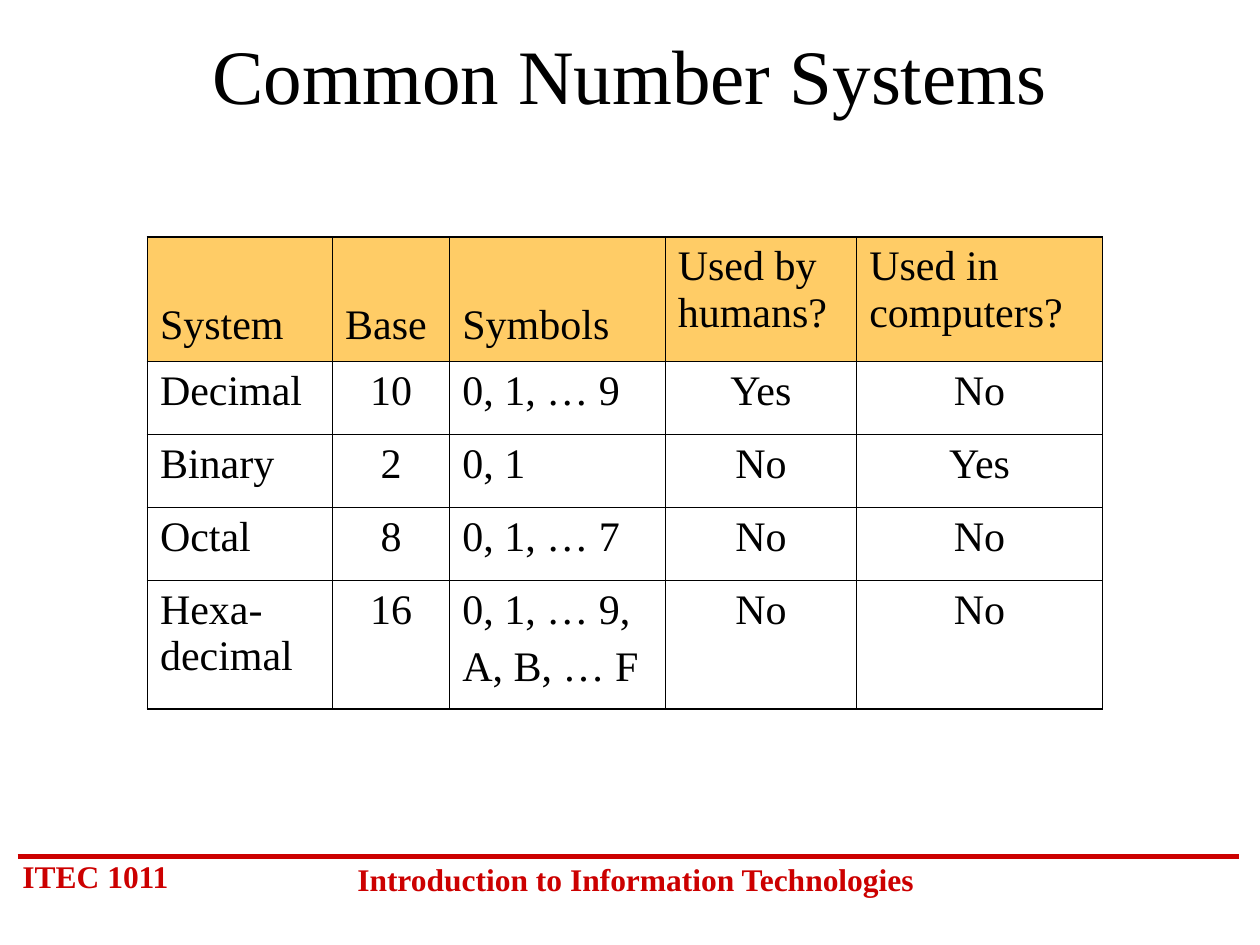
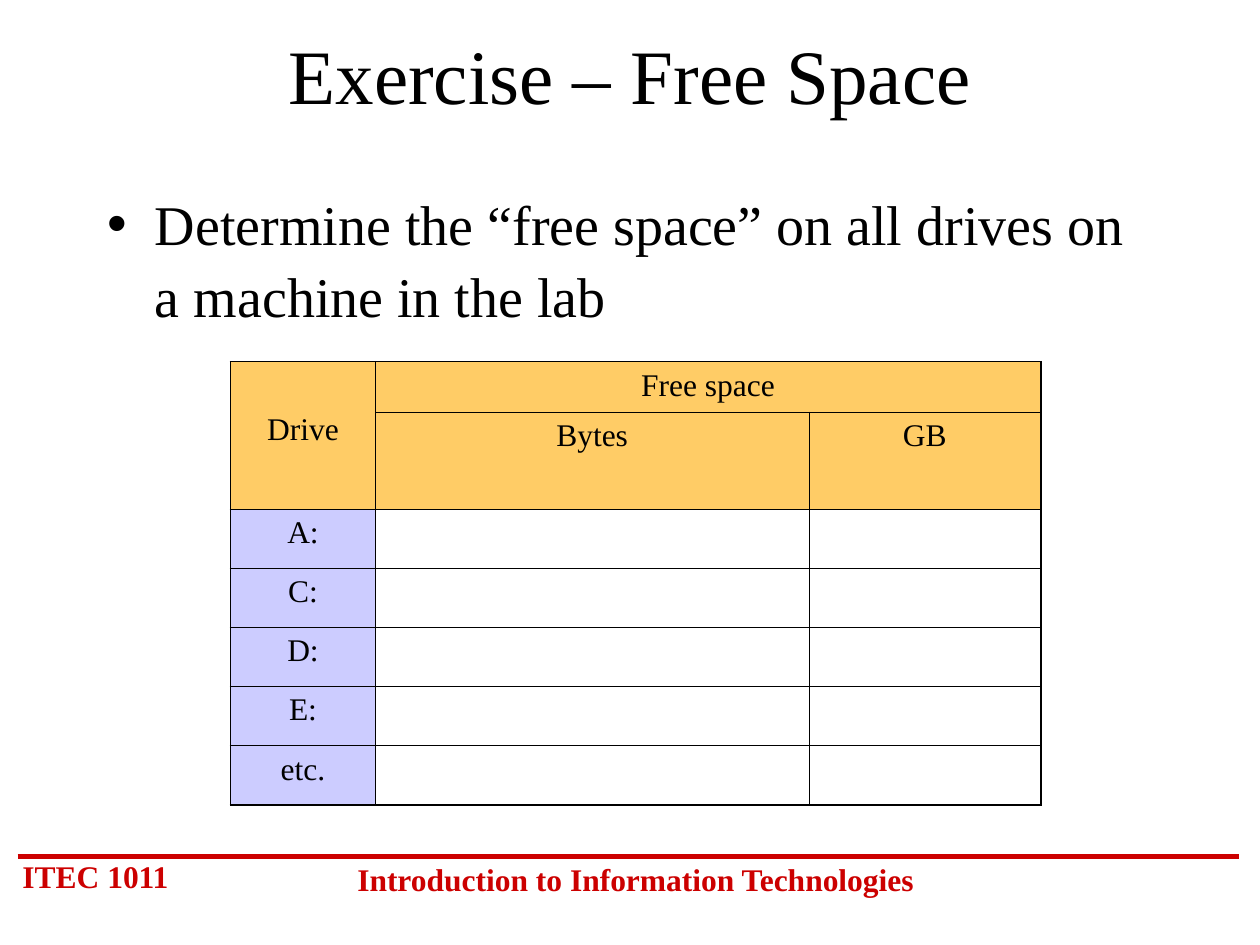
from dataclasses import dataclass

from lxml import etree
from pptx import Presentation
from pptx.dml import color
from pptx.enum import shapes, text
from pptx.oxml import ns
from pptx.util import Inches, Pt

FONT = "Times New Roman"
BLACK, RED, GOLD, LILAC = "000000", "CC0000", "FFCC66", "CCCCFF"
LEFT, CENTER = text.PP_ALIGN.LEFT, text.PP_ALIGN.CENTER
THIN, THICK = 0.45, 1.08


@dataclass
class Label:
    words: str
    left: float
    top: float
    width: float
    align: text.PP_ALIGN


@dataclass
class Grid:
    left: float
    top: float
    cols: list[float]
    rows: list[float]
    cells: list[list[str]]
    aligns: list[text.PP_ALIGN]  # body alignment by column
    size: float
    before: float
    head: int = 1  # number of header rows
    head_align: text.PP_ALIGN = LEFT
    side: str = ""  # fill of the first column below the header


FOOTER = [
    Label("ITEC 1011", 0.08, 6.75, 1.5, LEFT),
    Label("Introduction to Information Technologies", 2.67, 6.78, 4.75, CENTER),
]

SYSTEMS = Grid(
    1.17, 1.88, [1.47, 0.93, 1.71, 1.52, 1.95], [0.99, 0.58, 0.58, 0.58, 1.02],
    [
        ["System", "Base", "Symbols", "Used by humans?", "Used in computers?"],
        ["Decimal", "10", "0, 1, … 9", "Yes", "No"],
        ["Binary", "2", "0, 1", "No", "Yes"],
        ["Octal", "8", "0, 1, … 7", "No", "No"],
        ["Hexa-\vdecimal", "16", "0, 1, … 9,\nA, B, … F", "No", "No"],
    ],
    [LEFT, CENTER, LEFT, CENTER, CENTER], size=24, before=6,
)

DRIVES = Grid(
    1.83, 2.87, [1.15, 3.44, 1.84], [0.4, 0.77] + [0.47] * 5,
    [["Drive", "Free space", ""], ["", "Bytes", "GB"]]
    + [[name, "", ""] for name in ("A:", "C:", "D:", "E:", "etc.")],
    [CENTER] * 3, size=18, before=4.5, head=2, head_align=CENTER, side=LILAC,
)


def rgb(code: str) -> color.RGBColor:
    return color.RGBColor.from_string(code)


def write(frame, words: str, *, size: float, ink: str = BLACK, bold: bool = False,
          align=LEFT, before: float = 0, lead: float | None = None) -> None:
    """Fill a text frame, one paragraph for each line of words."""
    frame.word_wrap = True
    for i, line in enumerate(words.split("\n")):
        para = frame.paragraphs[0] if i == 0 else frame.add_paragraph()
        para.text = line
        para.alignment = align
        para.space_before = Pt(before)
        if lead:
            para.line_spacing = lead
        for run in para.runs:
            font = run.font
            font.name, font.size, font.bold = FONT, Pt(size), bold
            font.color.rgb = rgb(ink)


def place(shape, left: float, top: float, width: float, height: float) -> None:
    shape.left, shape.top = Inches(left), Inches(top)
    shape.width, shape.height = Inches(width), Inches(height)


def add_band(slide, master) -> None:
    """Draw the red rule and footer, then move them to the master."""
    rule = slide.shapes.add_connector(
        shapes.MSO_CONNECTOR.STRAIGHT,
        Inches(0.14), Inches(6.8), Inches(9.83), Inches(6.8))
    rule.line.color.rgb = rgb(RED)
    rule.line.width = Pt(3)
    etree.SubElement(rule.element.spPr, ns.qn("a:effectLst"))
    parts = [rule]
    for label in FOOTER:
        box = slide.shapes.add_textbox(
            Inches(label.left), Inches(label.top), Inches(label.width), Inches(0.4))
        write(box.text_frame, label.words, size=18, ink=RED, bold=True,
              align=label.align, before=11.2)
        parts.append(box)
    for part in parts:
        master.element.cSld.spTree.append(part.element)


def add_title(slide, words: str) -> None:
    title = slide.shapes.title
    place(title, 0.75, 0.17, 8.5, 0.83)
    frame = title.text_frame
    frame.auto_size = text.MSO_AUTO_SIZE.NONE
    frame.vertical_anchor = text.MSO_ANCHOR.MIDDLE
    write(frame, words, size=44, align=CENTER)


def add_list(slide, words: str) -> None:
    body = slide.placeholders[1]
    place(body, 0.75, 1.42, 8.5, 4.5)
    frame = body.text_frame
    frame.auto_size = text.MSO_AUTO_SIZE.NONE
    write(frame, words, size=32, before=8, lead=1.07)
    for para in frame.paragraphs:
        props = para._p.get_or_add_pPr()
        props.set("marL", str(Inches(0.38)))
        props.set("indent", str(Inches(-0.38)))


def edge(cell, widths: dict[str, float]) -> None:
    """Set cell borders, which come before the fill in the XML."""
    props = cell._tc.get_or_add_tcPr()
    for i, (side, width) in enumerate(widths.items()):
        line = etree.Element(ns.qn(f"a:ln{side}"), w=str(Pt(width)))
        fill = etree.SubElement(line, ns.qn("a:solidFill"))
        etree.SubElement(fill, ns.qn("a:srgbClr"), val=BLACK)
        props.insert(i, line)


def add_grid(slide, grid: Grid, merges=()):
    """Draw a table; merges lists pairs of corner cells."""
    rows, cols = len(grid.rows), len(grid.cols)
    table = slide.shapes.add_table(
        rows, cols, Inches(grid.left), Inches(grid.top),
        Inches(sum(grid.cols)), Inches(sum(grid.rows))).table
    table.first_row = table.horz_banding = False
    for col, width in zip(table.columns, grid.cols):
        col.width = Inches(width)
    for row, height in zip(table.rows, grid.rows):
        row.height = Inches(height)
    for start, end in merges:
        table.cell(*start).merge(table.cell(*end))
    for r, line in enumerate(grid.cells):
        for c, words in enumerate(line):
            cell = table.cell(r, c)
            if cell.is_spanned:
                continue
            head = r < grid.head
            tint = GOLD if head else grid.side if c == 0 else ""
            if tint:
                cell.fill.solid()
                cell.fill.fore_color.rgb = rgb(tint)
            else:
                cell.fill.background()
            write(cell.text_frame, words, size=grid.size, before=grid.before,
                  align=grid.head_align if head else grid.aligns[c])
            wide, high = ((cell.span_width, cell.span_height)
                          if cell.is_merge_origin else (1, 1))
            outer = {"L": c == 0, "R": c + wide == cols,
                     "T": r == 0, "B": r + high == rows}
            edge(cell, {k: THICK if out else THIN for k, out in outer.items()})
    return table


def main() -> None:
    deck = Presentation()
    deck.slide_width, deck.slide_height = Inches(10), Inches(7.5)

    # Number systems
    slide = deck.slides.add_slide(deck.slide_layouts[5])
    add_band(slide, deck.slide_master)
    add_title(slide, "Common Number Systems")
    table = add_grid(slide, SYSTEMS)
    for c in range(3):  # short headings sit on the second line
        table.cell(0, c).margin_top = Inches(0.52)

    # Free space exercise
    slide = deck.slides.add_slide(deck.slide_layouts[1])
    add_title(slide, "Exercise – Free Space")
    add_list(slide, "Determine the “free space” on all drives on a machine in the lab")
    table = add_grid(slide, DRIVES, [((0, 0), (1, 0)), ((0, 1), (0, 2))])
    table.cell(0, 0).margin_top = Inches(0.4)

    deck.save("out.pptx")


if __name__ == "__main__":
    main()
